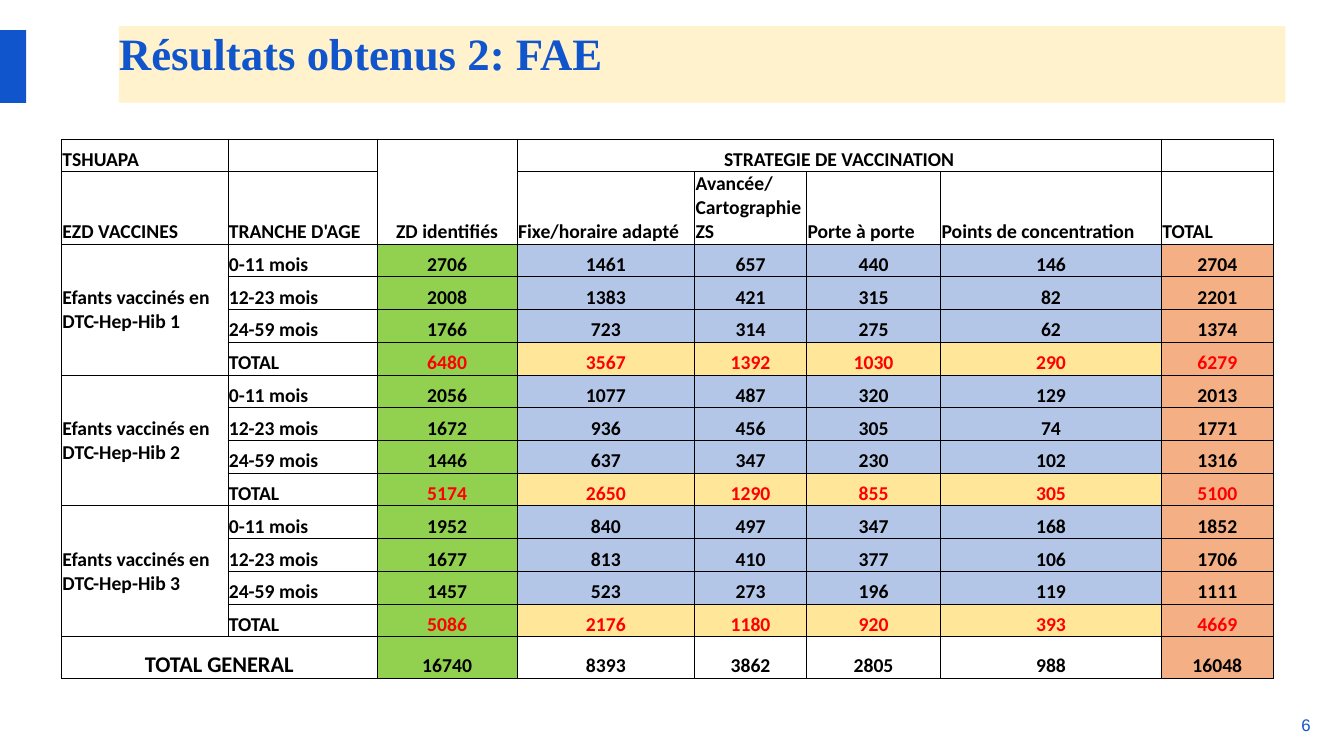
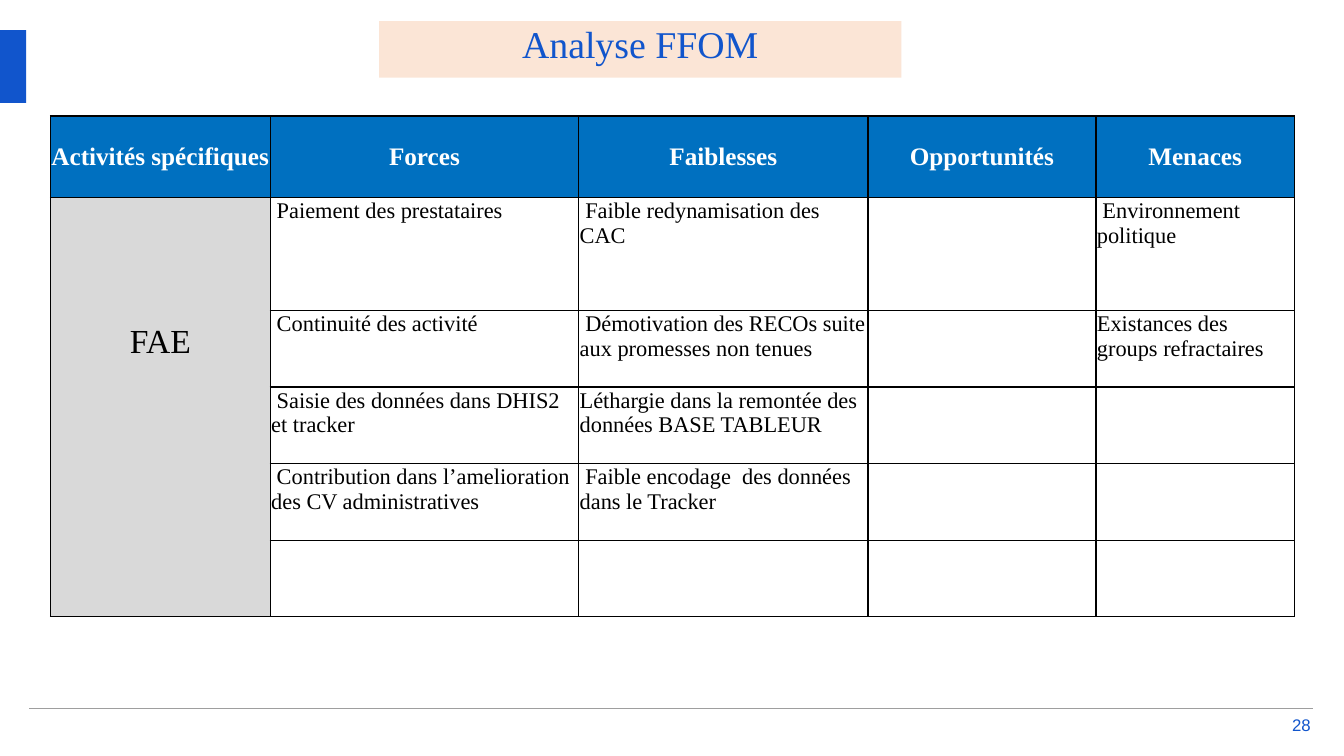
from dataclasses import dataclass, replace

import pptx
import pptx.dml.color
import pptx.enum.shapes
import pptx.enum.text
import pptx.oxml
import pptx.oxml.ns
import pptx.util
from pptx.util import Inches

ALIGN = pptx.enum.text.PP_ALIGN
ANCHOR = pptx.enum.text.MSO_ANCHOR


@dataclass(frozen=True)
class Theme:
    """Colours, fonts and type sizes of the deck."""
    blue: str = "1155CC"
    cream: str = "FFF2CC"
    peach: str = "FBE5D6"
    white: str = "FFFFFF"
    black: str = "000000"
    red: str = "FF0000"
    green: str = "92D050"
    sky: str = "B4C6E7"
    gold: str = "FFE699"
    salmon: str = "F4B084"
    azure: str = "0070C0"
    silver: str = "D9D9D9"
    rule: str = "9E9E9E"
    serif: str = "Times New Roman"
    sans: str = "Calibri"
    foot: str = "Arial"
    title: float = 32
    small: float = 27
    label: float = 24
    head: float = 18
    body: float = 16
    data: float = 14
    page: float = 12


T = Theme()


@dataclass(frozen=True)
class Style:
    font: str
    size: float
    color: str
    bold: bool = False
    align: ALIGN = ALIGN.LEFT


@dataclass(frozen=True)
class Box:
    left: float
    top: float
    width: float
    height: float

    def place(self) -> tuple:
        return tuple(map(Inches, (self.left, self.top, self.width, self.height)))


@dataclass(frozen=True)
class Cell:
    text: str
    style: Style
    fill: str = T.white
    anchor: ANCHOR = ANCHOR.TOP
    pad: float = 0.01
    tall: int = 1
    wide: int = 1


@dataclass(frozen=True)
class Group:
    name: str
    found: list[int]
    given: list[list[int]]


def rgb(code: str) -> pptx.dml.color.RGBColor:
    return pptx.dml.color.RGBColor.from_string(code)


# Text and shapes
def write(frame, text: str, style: Style) -> None:
    para = frame.paragraphs[0]
    para.text = text
    para.alignment = style.align
    font = para.font
    font.name, font.bold = style.font, style.bold
    font.size = pptx.util.Pt(style.size)
    font.color.rgb = rgb(style.color)
    if not text:
        end = para._p.get_or_add_endParaRPr()
        end.set("sz", str(int(style.size * 100)))


def clear(frame, anchor: ANCHOR) -> None:
    frame.word_wrap = True
    frame.vertical_anchor = anchor
    frame.margin_left = frame.margin_right = 0
    frame.margin_top = frame.margin_bottom = 0


def band(slide, box: Box, fill: str):
    shape = slide.shapes.add_shape(
        pptx.enum.shapes.MSO_SHAPE.RECTANGLE, *box.place())
    shape.shadow.inherit = False
    shape.fill.solid()
    shape.fill.fore_color.rgb = rgb(fill)
    shape.line.fill.background()
    clear(shape.text_frame, ANCHOR.TOP)
    return shape


def start(deck, title: str, box: Box, fill: str, style: Style, page: int):
    """Blank slide with title band, side tab and page number."""
    slide = deck.slides.add_slide(deck.slide_layouts[6])
    write(band(slide, box, fill).text_frame, title, style)
    band(slide, Box(0, 0.3, 0.26, 0.72), T.blue)
    note = slide.shapes.add_textbox(*Box(12.75, 7.1, 0.25, 0.18).place())
    clear(note.text_frame, ANCHOR.MIDDLE)
    write(note.text_frame, str(page),
          Style(T.foot, T.page, T.blue, align=ALIGN.RIGHT))
    return slide


def rule(slide, left: float, right: float, top: float) -> None:
    line = slide.shapes.add_connector(
        pptx.enum.shapes.MSO_CONNECTOR.STRAIGHT,
        Inches(left), Inches(top), Inches(right), Inches(top))
    line.line.color.rgb = rgb(T.rule)
    line.line.width = pptx.util.Pt(1)
    props = line._element.spPr
    props.append(props.makeelement(pptx.oxml.ns.qn("a:effectLst"), {}))


# Tables
def edge(cell, width: float) -> None:
    props = cell._tc.get_or_add_tcPr()
    for side in ("lnL", "lnR", "lnT", "lnB"):
        props.append(pptx.oxml.parse_xml(
            f'<a:{side} {pptx.oxml.ns.nsdecls("a")} w="{pptx.util.Pt(width)}">'
            f'<a:solidFill><a:srgbClr val="{T.black}"/></a:solidFill></a:{side}>'))


def table(slide, left: float, top: float, cols: list[float], rows: list[float],
          grid: list[list], line: float, base: Style) -> None:
    """Draw a grid of cells; None stands for an empty or covered cell."""
    box = Box(left, top, sum(cols), sum(rows))
    tab = slide.shapes.add_table(len(rows), len(cols), *box.place()).table
    tab.first_row = tab.horz_banding = False
    for col, width in zip(tab.columns, cols):
        col.width = Inches(width)
    for row, height in zip(tab.rows, rows):
        row.height = Inches(height)
    for r, items in enumerate(grid):
        for c, item in enumerate(items):
            item = item or Cell("", base)
            cell = tab.cell(r, c)
            edge(cell, line)
            cell.fill.solid()
            cell.fill.fore_color.rgb = rgb(item.fill)
            cell.margin_left = cell.margin_right = Inches(0.01)
            cell.margin_top, cell.margin_bottom = Inches(item.pad), 0
            cell.vertical_anchor = item.anchor
            write(cell.text_frame, item.text, item.style)
            if item.tall * item.wide > 1:
                cell.merge(tab.cell(r + item.tall - 1, c + item.wide - 1))


# Slide 1: vaccination results
LEFT = Style(T.sans, T.data, T.black, True)
MID = replace(LEFT, align=ALIGN.CENTER)
AGES = ["0-11 mois", "12-23 mois", "24-59 mois"]
GROUPS = [
    Group("Efants vaccinés en DTC-Hep-Hib 1", [2706, 2008, 1766],
          [[1461, 657, 440, 146], [1383, 421, 315, 82], [723, 314, 275, 62]]),
    Group("Efants vaccinés en DTC-Hep-Hib 2", [2056, 1672, 1446],
          [[1077, 487, 320, 129], [936, 456, 305, 74], [637, 347, 230, 102]]),
    Group("Efants vaccinés en DTC-Hep-Hib 3", [1952, 1677, 1457],
          [[840, 497, 347, 168], [813, 410, 377, 106], [523, 273, 196, 119]]),
]


def low(text: str, style: Style = LEFT, **more) -> Cell:
    return Cell(text, style, anchor=ANCHOR.BOTTOM, **more)


def counts(found: int, given: list[int], fill: str, color: str = T.black) -> list:
    """Children found, doses by strategy and their sum."""
    style = replace(MID, color=color)
    return [low(str(found), style, fill=T.green),
            *(low(str(n), style, fill=fill) for n in given),
            low(str(sum(given)), style, fill=T.salmon)]


def sums(lists: list[list[int]]) -> list[int]:
    return [sum(col) for col in zip(*lists)]


def results(deck) -> None:
    slide = start(deck, "Résultats obtenus 2: FAE", Box(1.18, 0.26, 11.57, 0.76),
                  T.cream, Style(T.serif, T.title, T.blue, True), 6)
    grid = [
        [low("TSHUAPA"), None, low("ZD identifiés", MID, tall=2),
         low("STRATEGIE DE VACCINATION", MID, wide=4), None, None, None, None],
        [low("EZD VACCINES"), low("TRANCHE D'AGE"), None,
         *map(low, ["Fixe/horaire adapté", "Avancée/Cartographie ZS",
                    "Porte à porte", "Points de concentration", "TOTAL"])],
    ]
    for group in GROUPS:
        name = Cell(group.name, LEFT, anchor=ANCHOR.MIDDLE, tall=4)
        for age, found, given in zip(AGES, group.found, group.given):
            grid.append([name, low(age), *counts(found, given, T.sky)])
            name = None
        grid.append([None, low("TOTAL"), *counts(
            sum(group.found), sums(group.given), T.gold, T.red)])
    every = [given for group in GROUPS for given in group.given]
    grid.append([low("TOTAL GENERAL", replace(MID, size=T.body), wide=2), None,
                 *counts(sum(sum(g.found) for g in GROUPS), sums(every), T.white)])
    table(slide, 0.61, 1.38, [1.65, 1.48, 1.39, 1.76, 1.11, 1.33, 2.19, 1.11],
          [0.32, 0.72] + [3.9 / 12] * 12 + [0.41], grid, 0.5, LEFT)


# Slide 2: strengths and weaknesses
HEADS = ["Activités spécifiques", "Forces", "Faiblesses", "Opportunités", "Menaces"]
POINTS = [
    [" Paiement des prestataires", " Faible redynamisation des CAC", "",
     " Environnement politique"],
    [" Continuité des activité",
     " Démotivation des RECOs suite aux promesses non tenues", "",
     "Existances des groups refractaires"],
    [" Saisie des données dans DHIS2 et tracker",
     "Léthargie dans la remontée des données BASE TABLEUR", "", ""],
    [" Contribution dans l’amelioration des CV administratives",
     " Faible encodage  des données dans le Tracker", "", ""],
    [""] * 4,
]


def swot(deck) -> None:
    slide = start(deck, "Analyse FFOM", Box(3.76, 0.21, 5.18, 0.56), T.peach,
                  Style(T.serif, T.small, T.blue, align=ALIGN.CENTER), 28)
    rule(slide, 0.29, 13.02, 7.03)
    body = Style(T.serif, T.body, T.black)
    head = Style(T.serif, T.head, T.white, True, ALIGN.CENTER)
    label = replace(body, size=T.label, align=ALIGN.CENTER)
    grid = [[Cell(text, head, T.azure, ANCHOR.MIDDLE) for text in HEADS]]
    grid += [[None, *(Cell(text, body) for text in row)] for row in POINTS]
    grid[1][0] = Cell("FAE", label, T.silver, pad=1.25, tall=len(POINTS))
    table(slide, 0.5, 1.15, [2.18, 3.06, 2.87, 2.26, 1.97],
          [0.81, 1.12] + [0.76] * 4, grid, 1, body)


def main() -> None:
    deck = pptx.Presentation()
    deck.slide_width, deck.slide_height = Inches(13.33), Inches(7.5)
    results(deck)
    swot(deck)
    deck.save("out.pptx")


if __name__ == "__main__":
    main()
